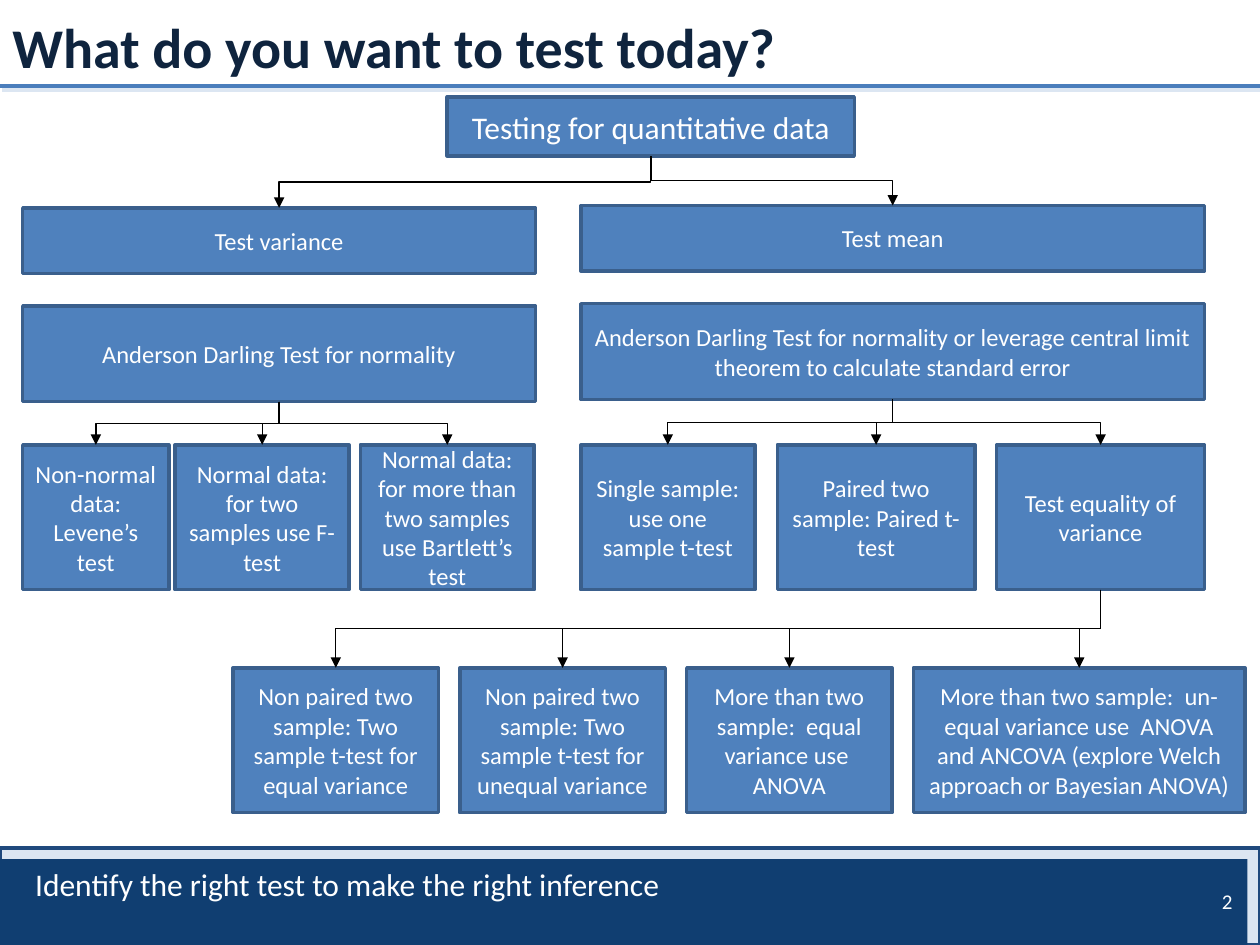
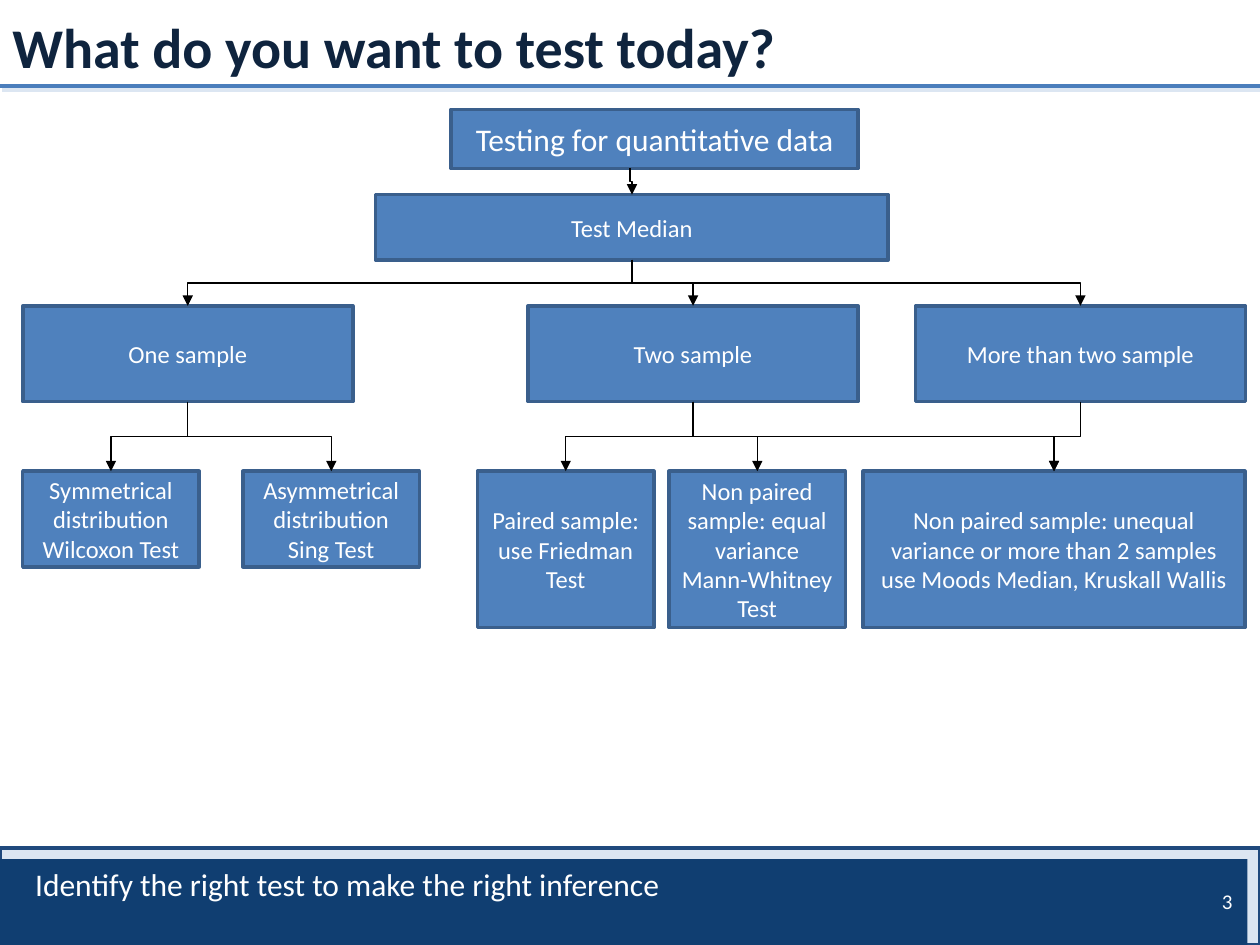
from dataclasses import dataclass

from lxml.etree import SubElement
from pptx import Presentation
from pptx.dml.color import RGBColor
from pptx.enum.shapes import MSO_CONNECTOR as Line, MSO_SHAPE as Preset
from pptx.enum.text import MSO_ANCHOR as Anchor, PP_ALIGN as Align
from pptx.oxml.ns import qn
from pptx.util import Pt

COLORS = {
    "title": "0F243E", "white": "FFFFFF", "black": "000000",
    "box": "4F81BD", "box_edge": "3A5F8C",
    "rule": "4B7EBC", "pale": "DCE6F2",
    "band_edge": "1F497D", "bar": "103E71",
}
FONT = "Calibri"
TITLE = "What do you want to test today?"
MESSAGE = "Identify the right test to make the right inference"
BOTTOM_SITE, TOP_SITE = 2, 0

# Shared chart measures in points
LEFT_EDGE = 13
ROOT_WIDTH, ROOT_HEIGHT = 232.6, 33.8
TARGET_HEIGHT = 37.4
CHECK_HEIGHT = 54.7
LEAF_HEIGHT = 82.8


@dataclass(frozen=True)
class Box:
    name: str
    text: str
    left: float
    top: float
    width: float
    height: float
    parents: tuple[str, ...] = ()
    size: float = 14
    arrow_start: float | None = None  # x of the arrow's start, else the parent's centre


def root_box(left: float, top: float) -> Box:
    return Box("root", "Testing for quantitative data", left, top,
               ROOT_WIDTH, ROOT_HEIGHT, size=18)


def row_of_boxes(parent: str, top: float, height: float,
                 cells: list[tuple[str, float, float]]) -> list[Box]:
    """Boxes on one level below a parent; a cell is text, left, width."""
    return [Box(text, text, left, top, width, height, (parent,))
            for text, left, width in cells]


# Slide 1: tests of variance and mean
RIGHT_EDGE, RIGHT_WIDTH, LEFT_WIDTH = 331.9, 356.4, 293
LEAF_TOP = 254.2
EQUALITY = "Test equality of variance"
LAST_LEFT, LAST_PITCH, LAST_WIDTH = 133.2, 129.6, 117.4

MEAN_AND_VARIANCE = [
    root_box(255.6, 55.4),
    Box("variance", "Test variance", LEFT_EDGE, 118.8, LEFT_WIDTH, TARGET_HEIGHT, ("root",)),
    Box("mean", "Test mean", RIGHT_EDGE, 117.4, RIGHT_WIDTH, TARGET_HEIGHT, ("root",)),
    Box("normality", "Anderson Darling Test for normality",
        LEFT_EDGE, 174.8, LEFT_WIDTH, CHECK_HEIGHT),
    Box("normality or limit",
        "Anderson Darling Test for normality or leverage central limit theorem "
        "to calculate standard error",
        RIGHT_EDGE, 173.6, RIGHT_WIDTH, CHECK_HEIGHT),
    *row_of_boxes("normality", LEAF_TOP, LEAF_HEIGHT, [
        ("Non-normal data: Levene’s test", LEFT_EDGE, 83.5),
        ("Normal data: for two samples use F-test", 100.1, 99.4),
        ("Normal data: for more than two samples use Bartlett’s test", 205.9, 99.4),
    ]),
    *row_of_boxes("normality or limit", LEAF_TOP, LEAF_HEIGHT, [
        ("Single sample: use one sample t-test", RIGHT_EDGE, 99.4),
        ("Paired two sample: Paired t-test", 444.2, 112.9),
        (EQUALITY, 569.5, 118.8),
    ]),
    *row_of_boxes(EQUALITY, 381.6, LEAF_HEIGHT, [
        (text, LAST_LEFT + column * LAST_PITCH, width)
        for column, (text, width) in enumerate([
            ("Non paired two sample: Two sample t-test for equal variance", LAST_WIDTH),
            ("Non paired two sample: Two sample t-test for unequal variance", LAST_WIDTH),
            ("More than two sample:  equal variance use  ANOVA", LAST_WIDTH),
            ("More than two sample:  un-equal variance use  ANOVA and ANCOVA "
             "(explore Welch approach or Bayesian ANOVA)", 189.4),
        ])
    ]),
]

# Slide 2: tests of the median
ONE, TWO, MORE = "One sample", "Two sample", "More than two sample"
SAMPLE_WIDTH, TEST_WIDTH = 188.6, 100.8
TEST_TOP, TALL_TEST = 269.3, 89.3

MEDIAN = [
    root_box(257.8, 62.5),
    Box("median", "Test Median", 214.6, 111.2, LEFT_WIDTH, TARGET_HEIGHT,
        ("root",), arrow_start=360),
    *row_of_boxes("median", 174.8, CHECK_HEIGHT, [
        (ONE, LEFT_EDGE, SAMPLE_WIDTH),
        (TWO, 301.7, SAMPLE_WIDTH),
        (MORE, 523.1, SAMPLE_WIDTH),
    ]),
    *row_of_boxes(ONE, TEST_TOP, CHECK_HEIGHT, [
        ("Symmetrical distribution\nWilcoxon Test", LEFT_EDGE, TEST_WIDTH),
        ("Asymmetrical distribution\nSing Test", 138.9, TEST_WIDTH),
    ]),
    *row_of_boxes(TWO, TEST_TOP, TALL_TEST, [
        ("Paired sample: use Friedman Test", 272.9, TEST_WIDTH),
        ("Non paired sample: equal variance Mann-Whitney Test", 382.3, TEST_WIDTH),
    ]),
    Box("unequal",
        "Non paired sample: unequal variance or more than 2 samples "
        "use Moods Median, Kruskall Wallis",
        493.2, TEST_TOP, 218.2, TALL_TEST, (TWO, MORE)),
]


def color(name: str) -> RGBColor:
    return RGBColor.from_string(COLORS[name])


def write(shape, text: str, *, size: float, color_name: str = "white", bold: bool = False,
          align=Align.LEFT, anchor=Anchor.TOP) -> None:
    """Fill a shape's frame, one paragraph for each line of text."""
    frame = shape.text_frame
    frame.word_wrap = True
    frame.vertical_anchor = anchor
    for index, line in enumerate(text.split("\n")):
        paragraph = frame.add_paragraph() if index else frame.paragraphs[0]
        paragraph.alignment = align
        run = paragraph.add_run()
        run.text = line
        run.font.name = FONT
        run.font.size = Pt(size)
        run.font.bold = bold
        run.font.color.rgb = color(color_name)


def add_text(slide, text: str, left: float, top: float, width: float, height: float,
             **text_format) -> None:
    write(slide.shapes.add_textbox(Pt(left), Pt(top), Pt(width), Pt(height)),
          text, **text_format)


def add_rectangle(slide, left: float, top: float, width: float, height: float,
                  fill: str, edge: str | None = None):
    shape = slide.shapes.add_shape(Preset.RECTANGLE, Pt(left), Pt(top), Pt(width), Pt(height))
    shape.shadow.inherit = False
    shape.fill.solid()
    shape.fill.fore_color.rgb = color(fill)
    if edge:
        shape.line.color.rgb = color(edge)
        shape.line.width = Pt(2)
    else:
        shape.line.fill.background()
    return shape


def style_line(connector, color_name: str, width: float) -> None:
    connector.line.color.rgb = color(color_name)
    connector.line.width = Pt(width)
    SubElement(connector._element.spPr, qn("a:effectLst"))


def add_rule(slide, left: float, y: float, color_name: str) -> None:
    rule = slide.shapes.add_connector(Line.STRAIGHT, Pt(left), Pt(y), Pt(720), Pt(y))
    style_line(rule, color_name, 2.25)


def add_arrow(slide, parent, child, start: float | None) -> None:
    """Elbow arrow that leaves the parent downwards and enters the child from above."""
    x1 = parent.left + parent.width // 2 if start is None else Pt(start)
    y1 = parent.top + parent.height
    x2, y2 = child.left + child.width // 2, child.top
    arrow = slide.shapes.add_connector(Line.ELBOW, x1, y1, x2, y2)
    if start is None:
        arrow.begin_connect(parent, BOTTOM_SITE)
    arrow.end_connect(child, TOP_SITE)

    # A quarter turn makes the outer legs vertical
    drop, shift = y2 - y1, abs(x2 - x1)
    arrow.left, arrow.top = (x1 + x2 - drop) // 2, (y1 + y2 - shift) // 2
    arrow.width, arrow.height = drop, shift
    goes_right = x2 > x1
    transform = arrow._element.spPr.find(qn("a:xfrm"))
    transform.set("rot", str((270 if goes_right else 90) * 60000))
    transform.set("flipH", "1" if goes_right else "0")
    transform.set("flipV", "0")

    style_line(arrow, "black", 0.75)
    SubElement(arrow.line._get_or_add_ln(), qn("a:tailEnd"), type="triangle")


def add_frame(slide, number: int) -> None:
    """Title, rules, footer band and slide number."""
    add_rectangle(slide, 0, 484.6, 720, 55.4, "pale", "band_edge")
    add_rule(slide, 0, 49, "rule")
    add_rule(slide, 1.4, 51.2, "pale")
    add_rectangle(slide, 0, 491, 712.8, 49, "bar")
    add_text(slide, TITLE, 0, 3.5, 720, 94, size=32, color_name="title", bold=True)
    add_text(slide, str(number), 543.6, 500.4, 167.8, 28.8, size=12,
             align=Align.RIGHT, anchor=Anchor.MIDDLE)
    add_text(slide, MESSAGE, LEFT_EDGE, 491, 601.2, 29, size=18)


def add_tree(slide, boxes: list[Box]) -> None:
    shapes = {}
    for box in boxes:
        shape = add_rectangle(slide, box.left, box.top, box.width, box.height,
                              "box", "box_edge")
        write(shape, box.text, size=box.size, align=Align.CENTER, anchor=Anchor.MIDDLE)
        shapes[box.name] = shape
    for box in boxes:
        for parent in box.parents:
            add_arrow(slide, shapes[parent], shapes[box.name], box.arrow_start)


def main() -> None:
    presentation = Presentation()
    presentation.slide_width, presentation.slide_height = Pt(720), Pt(540)
    blank = presentation.slide_layouts[6]
    for number, boxes in enumerate((MEAN_AND_VARIANCE, MEDIAN), start=2):
        slide = presentation.slides.add_slide(blank)
        add_frame(slide, number)
        add_tree(slide, boxes)
    presentation.save("out.pptx")


if __name__ == "__main__":
    main()
